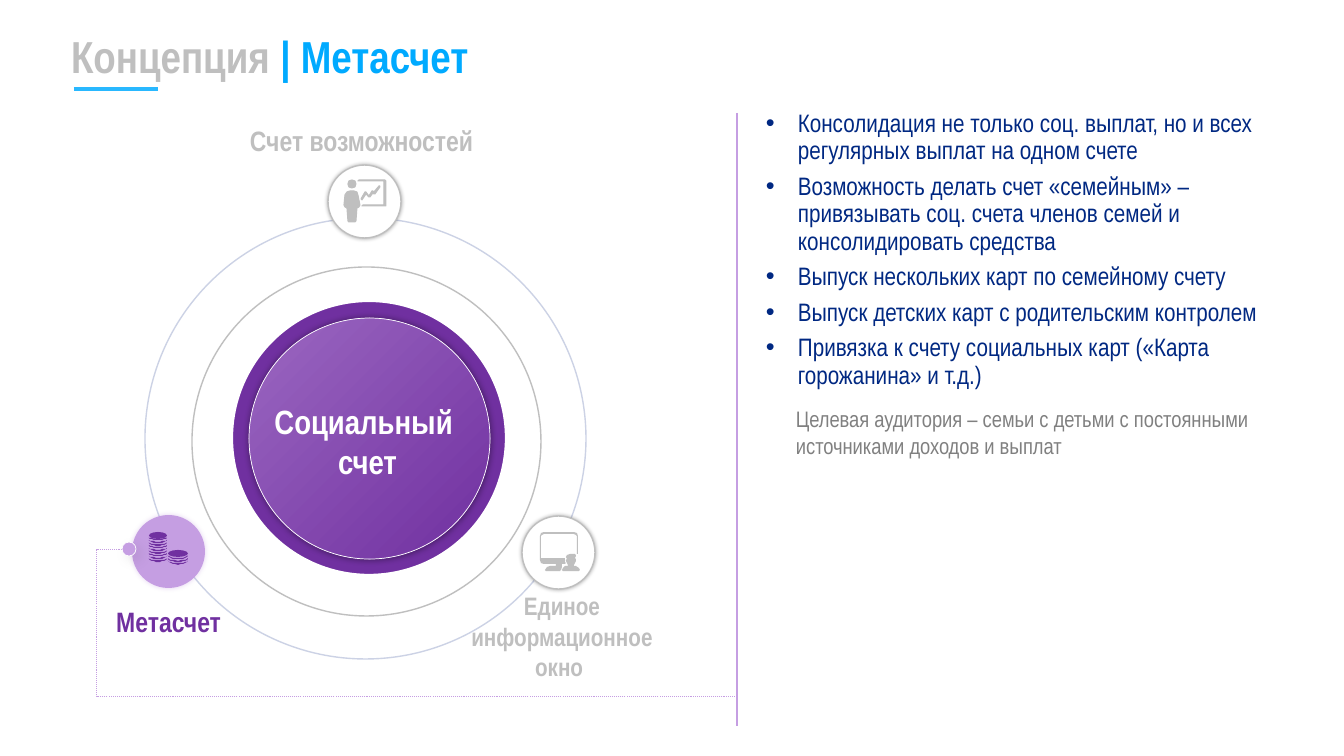
from math import cos, pi, sin

from lxml.etree import SubElement
from pptx import Presentation
from pptx.dml.color import RGBColor
from pptx.enum.dml import MSO_LINE
from pptx.enum.shapes import MSO_CONNECTOR, MSO_SHAPE
from pptx.enum.text import MSO_ANCHOR, PP_ALIGN
from pptx.oxml.ns import qn
from pptx.util import Pt

PX = 9071  # EMU in one px
FONT = "Arial Narrow"
WHITE = RGBColor(0xFF, 0xFF, 0xFF)
BLACK = RGBColor(0x00, 0x00, 0x00)
PURPLE = RGBColor(0x70, 0x30, 0xA0)
MID_PURPLE = RGBColor(0x9B, 0x67, 0xC1)
LILAC = RGBColor(0xC5, 0x9E, 0xE2)
SILVER = RGBColor(0xBF, 0xBF, 0xBF)
GRAY = RGBColor(0x80, 0x80, 0x80)
PALE_BLUE = RGBColor(0xCC, 0xD2, 0xE5)
SKY = RGBColor(0x00, 0xAA, 0xFF)
UNDERLINE_BLUE = RGBColor(0x29, 0xB8, 0xFF)
NAVY = RGBColor(0x00, 0x28, 0x82)


def style(shape, fill=None, line=None, width=1, shadow=None):
    """Set fill, line and shadow; shadow is (colour, opacity %, blur pt, distance pt, degrees)."""
    shape.shadow.inherit = False
    if fill is None:
        shape.fill.background()
    else:
        shape.fill.solid()
        shape.fill.fore_color.rgb = fill
    if line is None:
        shape.line.fill.background()
    else:
        shape.line.color.rgb = line
        shape.line.width = Pt(width)
    if shadow:
        color, opacity, blur, distance, angle = shadow
        effects = shape._element.spPr.find(qn("a:effectLst"))
        outer = SubElement(effects, qn("a:outerShdw"), blurRad=str(Pt(blur)), dist=str(Pt(distance)),
                           dir=str(angle * 60000), algn="ctr", rotWithShape="0")
        tint = SubElement(outer, qn("a:srgbClr"), val=str(color))
        SubElement(tint, qn("a:alpha"), val=str(opacity * 1000))


def write_text(box, lines, size, color=None, bold=False, align=PP_ALIGN.LEFT,
               anchor=MSO_ANCHOR.TOP, inset=True, wrap=True):
    """Fill a box; each line is a string or a list of (text, colour) spans."""
    frame = box.text_frame
    frame.word_wrap = wrap
    frame.vertical_anchor = anchor
    if not inset:
        frame.margin_left = frame.margin_top = frame.margin_right = frame.margin_bottom = 0
    for index, line in enumerate(lines):
        para = frame.add_paragraph() if index else frame.paragraphs[0]
        para.alignment = align
        for text, tone in [(line, color)] if isinstance(line, str) else line:
            span = para.add_run()
            span.text = text
            span.font.name = FONT
            span.font.size = Pt(size)
            span.font.bold = bold
            span.font.color.rgb = tone
    return frame


deck = Presentation()
deck.slide_width, deck.slide_height = 1344 * PX, 756 * PX
page = deck.slides.add_slide(deck.slide_layouts[5])
shapes = page.shapes

# Title
title = shapes.title
title.left, title.top, title.width, title.height = 61 * PX, 29 * PX, 924 * PX, 54 * PX
style(title, WHITE)
write_text(title, [[("Концепция ", SILVER), ("| Метасчет", SKY)]], 32, bold=True,
           anchor=MSO_ANCHOR.MIDDLE)

# Central disc, orbits and the three round badges: left, top, diameter
badge_shadow = (BLACK, 35, 3, 0, 0)
circles = {}
for key, left, top, size, look in (
    ("rim", 231, 300, 276, dict(fill=PURPLE, line=WHITE, width=3)),
    ("disc", 249, 318, 241, dict(fill=PURPLE, line=WHITE, width=0.5, shadow=(BLACK, 40, 5, 0, 0))),
    ("outer orbit", 145, 218, 441, dict(line=PALE_BLUE)),
    ("inner orbit", 192, 267, 349, dict(line=SILVER)),
    ("opportunities", 328, 165, 73, dict(fill=WHITE, line=SILVER, shadow=badge_shadow)),
    ("meta account", 132, 515, 73, dict(fill=LILAC, shadow=(LILAC, 35, 3, 0, 0))),
    ("window", 522, 516, 73, dict(fill=WHITE, line=SILVER, shadow=badge_shadow)),
):
    circles[key] = shapes.add_shape(MSO_SHAPE.OVAL, left * PX, top * PX, size * PX, size * PX)
    style(circles[key], **look)

disc_fill = circles["disc"].fill
disc_fill.gradient()
disc_fill.gradient_angle = 315
for stop, color in zip(disc_fill.gradient_stops, (MID_PURPLE, PURPLE)):
    stop.color.rgb = color

# Labels of the diagram
label = dict(bold=True, inset=False, anchor=MSO_ANCHOR.MIDDLE)
for left, top, width, height, lines, look in (
    (250, 123, 228, 34, ["Счет возможностей"], dict(label, size=20, color=SILVER, wrap=False)),
    (114, 604, 107, 34, ["Метасчет"],
     dict(label, size=20, color=PURPLE, wrap=False, align=PP_ALIGN.RIGHT)),
    (468, 590, 188, 92, ["Единое информационное окно "],
     dict(label, size=18, color=SILVER, align=PP_ALIGN.CENTER)),
    (243, 396, 249, 92, ["Социальный ", "счет"],
     dict(size=24, color=WHITE, bold=True, align=PP_ALIGN.CENTER)),
    (786, 400, 499, 65, ["Целевая аудитория – семьи с детьми с постоянными источниками доходов и выплат"],
     dict(size=16, color=GRAY)),
):
    box = shapes.add_textbox(left * PX, top * PX, width * PX, height * PX)
    write_text(box, lines, **look)

# Bulleted list
box = shapes.add_textbox(756 * PX, 106 * PX, 566 * PX, 291 * PX)
frame = write_text(box, [
    "Консолидация не только соц. выплат, но и всех регулярных выплат на одном счете",
    "Возможность делать счет «семейным» – привязывать соц. счета членов семей и консолидировать средства",
    "Выпуск нескольких карт по семейному счету",
    "Выпуск детских карт с родительским контролем",
    "Привязка к счету социальных карт («Карта горожанина» и т.д.)",
], 18, NAVY)
for para in frame.paragraphs:
    para.line_spacing = 0.9
    para.space_before = Pt(6)
    props = para._p.get_or_add_pPr()
    props.set("marL", str(32 * PX))
    props.set("indent", str(-32 * PX))
    SubElement(props, qn("a:buFont"), typeface="Arial")
    SubElement(props, qn("a:buChar"), char="•")

# Rules and the dotted leader
for kind, x1, y1, x2, y2, color, width in (
    (MSO_CONNECTOR.STRAIGHT, 74, 89, 158, 89, UNDERLINE_BLUE, 3),
    (MSO_CONNECTOR.STRAIGHT, 737, 113, 737, 726, LILAC, 1.5),
    (MSO_CONNECTOR.ELBOW, 737, 697, 122, 550, LILAC, 0.75),
):
    rule = shapes.add_connector(kind, x1 * PX, y1 * PX, x2 * PX, y2 * PX)
    rule.line.color.rgb = color
    rule.line.width = Pt(width)
    if kind == MSO_CONNECTOR.ELBOW:
        rule.line.dash_style = MSO_LINE.ROUND_DOT
        guides = rule._element.spPr.find(qn("a:prstGeom")).get_or_add_avLst()
        SubElement(guides, qn("a:gd"), name="adj1", fmla="val 104100")
    SubElement(rule._element.spPr, qn("a:effectLst"))

dot = shapes.add_shape(MSO_SHAPE.OVAL, 122 * PX, 542 * PX, 14 * PX, 14 * PX)
style(dot, LILAC, WHITE, 0.5, (BLACK, 8, 9, 5, 45))

# Coin stacks: a top coin above evenly spaced crescents
arc = [pi * step / 12 for step in range(13)]
for center, radius, coin_top, coin_height, first, gap, count, depth in (
    (158, 9, 532, 7, 537, 2.65, 9, 3.5),
    (178, 10, 550, 7, 555, 2.65, 3, 4.3),
):
    coin = shapes.add_shape(MSO_SHAPE.OVAL, (center - radius) * PX, coin_top * PX,
                            2 * radius * PX, coin_height * PX)
    style(coin, PURPLE)
    for number in range(count):
        top = first + number * gap
        points = [(center - radius * cos(t), top + depth * sin(t)) for t in arc]
        points += [(center + radius * cos(t), top + (depth - 1.4) * sin(t)) for t in arc]
        builder = shapes.build_freeform(*points[0], scale=PX)
        builder.add_line_segments(points[1:])
        style(builder.convert_to_shape(), PURPLE)

# Badge icons: origin, line colour, outlines in px from the origin
presenter = (
    [(14, 15), (13, 12), (10, 11), (6, 11), (3, 12), (1, 15), (0, 25), (1, 27), (3, 28), (4, 41),
     (5, 42), (11, 42), (12, 41), (13, 28), (15, 27), (16, 25)],
    [(8, 8), (11, 7), (12, 4), (11, 1), (8, 0), (5, 1), (4, 4), (5, 7)],
    [(41, 0), (15, 0), (14, 1), (15, 1), (40, 1), (40, 25), (19, 25), (18, 26), (19, 26),
     (42, 26), (42, 1)],
    [(25, 17), (26, 17), (29, 13), (30, 14), (31, 14), (36, 7), (36, 6), (35, 6), (30, 12),
     (29, 11), (28, 11), (25, 16), (22, 12), (21, 12), (17, 19), (18, 20), (22, 14)],
)
screen_and_users = (
    [(22, 34), (22, 32), (25, 32), (26, 31), (25, 30), (25, 26), (1, 26), (1, 4), (2, 3), (4, 2),
     (34, 2), (36, 3), (37, 4), (37, 22), (38, 22), (38, 4), (37, 1), (34, 0), (4, 0), (1, 1),
     (0, 4), (0, 28), (1, 31), (4, 32), (16, 32), (16, 34), (10, 34), (7, 35), (5, 38), (6, 39),
     (20, 39), (21, 38), (22, 35)],
    [(36, 34), (34, 34), (34, 33), (35, 31), (36, 29), (36, 27), (35, 26), (36, 24), (36, 23),
     (35, 22), (30, 22), (27, 23), (26, 25), (27, 27), (26, 28), (26, 29), (27, 31), (28, 33),
     (28, 34), (25, 34), (23, 36), (22, 38), (23, 39), (39, 39), (40, 38), (39, 36)],
)
for left, top, edge, outlines in ((344, 180, SILVER, presenter), (540, 532, None, screen_and_users)):
    builder = shapes.build_freeform(*outlines[0][0], scale=PX)
    for index, points in enumerate(outlines):
        if index:
            builder.move_to(*points[0])
        builder.add_line_segments(points[1:])
    icon = builder.convert_to_shape(left * PX, top * PX)
    style(icon, SILVER, edge, 0.75)

deck.save("out.pptx")
